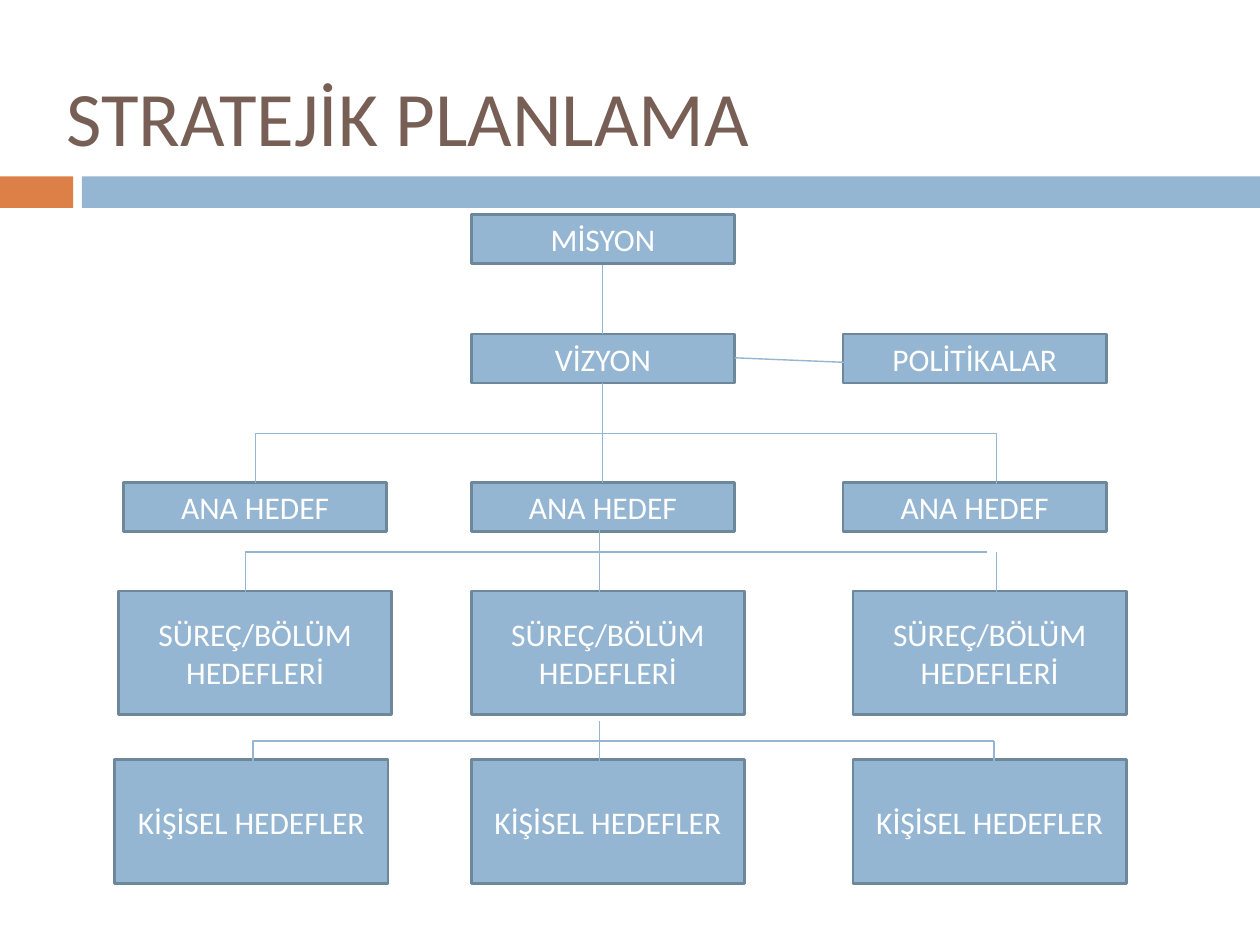
from dataclasses import dataclass

from lxml import etree
from pptx import Presentation
from pptx import util as u
from pptx.dml.color import RGBColor
from pptx.enum import shapes, text
from pptx.oxml.ns import qn


@dataclass(frozen=True)
class Theme:
    font: str = "Calibri"
    blue: RGBColor = RGBColor(0x94, 0xB6, 0xD2)
    border: RGBColor = RGBColor(0x6D, 0x87, 0x9B)
    orange: RGBColor = RGBColor(0xDD, 0x80, 0x47)
    brown: RGBColor = RGBColor(0x77, 0x5F, 0x55)
    white: RGBColor = RGBColor(0xFF, 0xFF, 0xFF)
    title_size: u.Pt = u.Pt(44)
    box_size: u.Pt = u.Pt(18)
    border_width: u.Pt = u.Pt(1.5)
    link_width: u.Pt = u.Pt(0.79)


theme = Theme()
prs = Presentation()
prs.slide_width, prs.slide_height = u.Inches(10), u.Inches(7.5)
slide = prs.slides.add_slide(prs.slide_layouts[6])


def write(shape, words, size, color, align):
    frame = shape.text_frame
    frame.word_wrap = True
    frame.vertical_anchor = text.MSO_ANCHOR.MIDDLE
    paragraph = frame.paragraphs[0]
    paragraph.alignment = align
    run = paragraph.add_run()
    run.text = words
    run.font.name, run.font.size = theme.font, size
    run.font.color.rgb = color


def link(kind, *ends):
    line = slide.shapes.add_connector(kind, *map(u.Inches, ends))
    line.line.color.rgb = theme.blue
    line.line.width = theme.link_width
    etree.SubElement(line._element.spPr, qn("a:effectLst"))
    return line


# Bands under the title
for left, width, color in [(0, 0.58, theme.orange), (0.65, 9.35, theme.blue)]:
    band = slide.shapes.add_shape(
        shapes.MSO_SHAPE.RECTANGLE,
        u.Inches(left), u.Inches(1.4), u.Inches(width), u.Inches(0.25))
    band.shadow.inherit = False
    band.fill.solid()
    band.fill.fore_color.rgb = color
    band.line.fill.background()

# Title
title = slide.shapes.add_textbox(
    u.Inches(0.43), u.Inches(0.29), u.Inches(9), u.Inches(1.25))
write(title, "STRATEJİK PLANLAMA", theme.title_size, theme.brown,
      text.PP_ALIGN.LEFT)

# Levels of the plan: wording, top, box size, left edges
small, large = (2.09, 0.39), (2.17, 0.98)
levels = [
    ("MİSYON", 1.7, small, [3.74]),
    ("VİZYON", 2.65, small, [3.74]),
    ("POLİTİKALAR", 2.65, small, [6.69]),
    ("ANA HEDEF", 3.83, small, [0.98, 3.74, 6.69]),
    ("SÜREÇ/BÖLÜM HEDEFLERİ", 4.69, large, [0.94, 3.74, 6.77]),
    ("KİŞİSEL HEDEFLER", 6.03, large, [0.91, 3.74, 6.77]),
]
for words, top, (width, height), lefts in levels:
    for left in lefts:
        box = slide.shapes.add_shape(
            shapes.MSO_SHAPE.RECTANGLE,
            u.Inches(left), u.Inches(top), u.Inches(width), u.Inches(height))
        box.shadow.inherit = False
        box.fill.solid()
        box.fill.fore_color.rgb = theme.blue
        box.line.color.rgb = theme.border
        box.line.width = theme.border_width
        write(box, words, theme.box_size, theme.white, text.PP_ALIGN.CENTER)

# Straight links down the middle, to the policies and down the right side
for ends in [
    (4.78, 2.1, 4.78, 2.65),
    (4.78, 3.04, 4.78, 3.83),
    (5.83, 2.84, 6.81, 2.88),
    (4.76, 4.14, 4.76, 4.77),
    (4.76, 5.72, 4.76, 6.35),
    (7.91, 3.44, 7.91, 3.91),
    (7.91, 4.38, 7.91, 4.85),
    (7.89, 5.88, 7.89, 6.35),
]:
    link(shapes.MSO_CONNECTOR.STRAIGHT, *ends)

# Branches: across from the right, then down into the left column
branch_width, branch_drop = 5.88, 0.39
for left, top in [(2.03, 3.44), (1.95, 4.38), (2.01, 5.88)]:
    branch = link(shapes.MSO_CONNECTOR.ELBOW,
                  left + branch_width, top, left, top + branch_drop)
    branch._element.spPr.find(qn("a:prstGeom")).set("prst", "bentConnector2")

prs.save("out.pptx")
